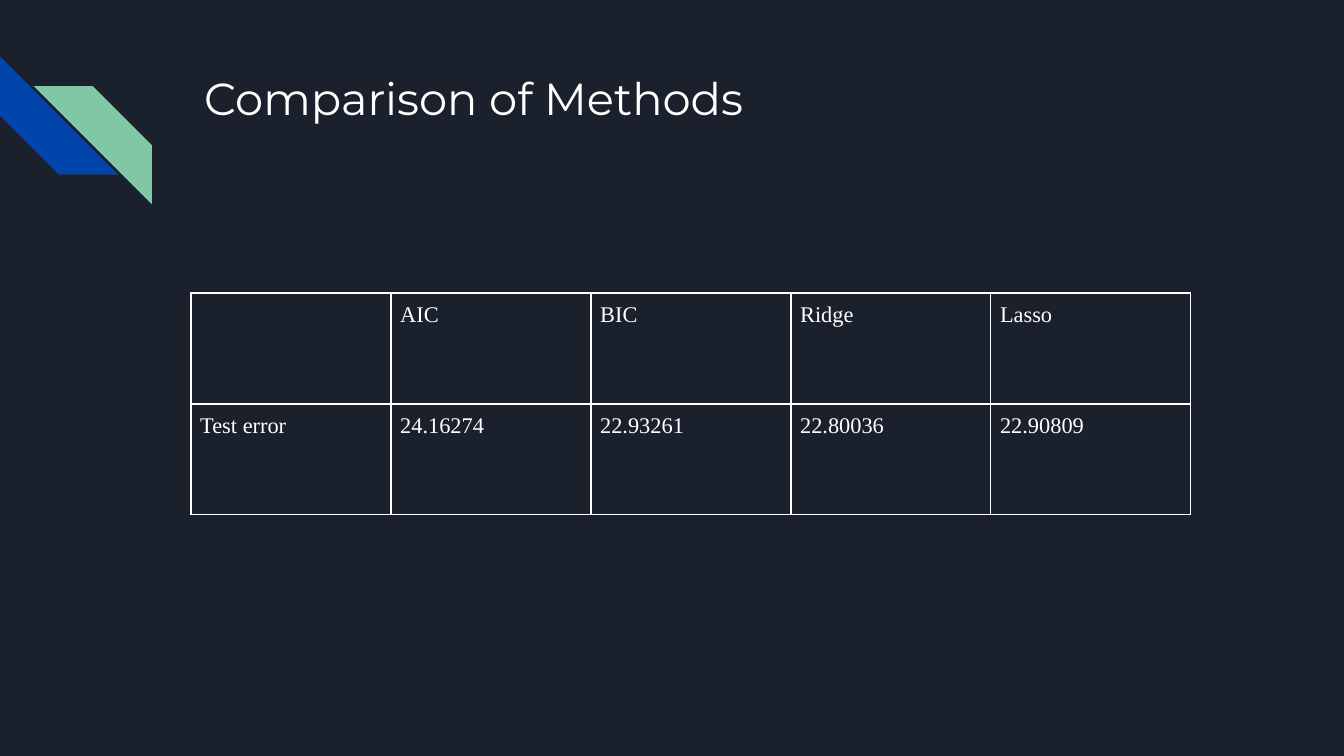
from dataclasses import dataclass

from lxml.etree import SubElement
from pptx import Presentation
from pptx.dml.color import RGBColor
from pptx.enum.shapes import MSO_SHAPE as Shape
from pptx.enum.text import MSO_ANCHOR as Anchor
from pptx.oxml.ns import qn
from pptx.util import Inches, Pt


@dataclass(frozen=True)
class Theme:
    background: str = "1B212C"
    text: str = "FFFFFF"
    blue: str = "0145AC"
    green: str = "82C7A5"
    title_font: str = "Montserrat"
    table_font: str = "Times New Roman"
    title_size: int = 24
    table_size: int = 12
    border_width: int = 1


THEME = Theme()

TEST_ERRORS = [
    ["", "AIC", "BIC", "Ridge", "Lasso"],
    ["Test error", "24.16274", "22.93261", "22.80036", "22.90809"],
]


def set_margins(frame, margin):
    """Give a text frame or a table cell the same margin on every side."""
    frame.margin_left = frame.margin_right = Inches(margin)
    frame.margin_top = frame.margin_bottom = Inches(margin)


def add_run(paragraph, text, font, size):
    run = paragraph.add_run()
    run.text = text
    run.font.name = font
    run.font.size = Pt(size)
    run.font.color.rgb = RGBColor.from_string(THEME.text)


def set_background(slide):
    fill = slide.background.fill
    fill.solid()
    fill.fore_color.rgb = RGBColor.from_string(THEME.background)


def add_stripe(slide, left, top, rotation, color):
    side = Inches(0.88)
    stripe = slide.shapes.add_shape(
        Shape.DIAGONAL_STRIPE, Inches(left), Inches(top), side, side)
    stripe.adjustments[0] = 0.5
    stripe.rotation = rotation
    stripe.shadow.inherit = False
    stripe.fill.solid()
    stripe.fill.fore_color.rgb = RGBColor.from_string(color)
    stripe.line.fill.background()


def add_title(slide, text):
    box = slide.shapes.add_textbox(
        Inches(1.42), Inches(0.43), Inches(7.7), Inches(1))
    frame = box.text_frame
    frame.word_wrap = True
    frame.vertical_anchor = Anchor.TOP
    set_margins(frame, 0.1)
    add_run(frame.paragraphs[0], text, THEME.title_font, THEME.title_size)


def add_borders(cell):
    properties = cell._tc.get_or_add_tcPr()
    for side in ("a:lnL", "a:lnR", "a:lnT", "a:lnB"):
        line = SubElement(properties, qn(side), w=str(Pt(THEME.border_width)))
        fill = SubElement(line, qn("a:solidFill"))
        SubElement(fill, qn("a:srgbClr"), val=THEME.text)


def fill_cell(cell, text):
    set_margins(cell, 0.07)
    add_borders(cell)
    cell.fill.background()
    if text:
        add_run(cell.text_frame.paragraphs[0], text,
                THEME.table_font, THEME.table_size)


def add_error_table(slide, rows):
    """Add the table with equal columns and equal rows."""
    table = slide.shapes.add_table(
        len(rows), len(rows[0]), Inches(1.42), Inches(2.18),
        Inches(7.44), Inches(1.65)).table
    table.first_row = False
    table.horz_banding = False
    for row_index, row in enumerate(rows):
        for column_index, text in enumerate(row):
            fill_cell(table.cell(row_index, column_index), text)


def main():
    presentation = Presentation()
    presentation.slide_width = Inches(10)
    presentation.slide_height = Inches(10 * 9 / 16)
    slide = presentation.slides.add_slide(presentation.slide_layouts[6])

    set_background(slide)
    add_stripe(slide, 0, 0.42, 270, THEME.blue)
    add_stripe(slide, 0.25, 0.64, 90, THEME.green)
    add_title(slide, "Comparison of Methods")
    add_error_table(slide, TEST_ERRORS)

    presentation.save("out.pptx")


if __name__ == "__main__":
    main()
